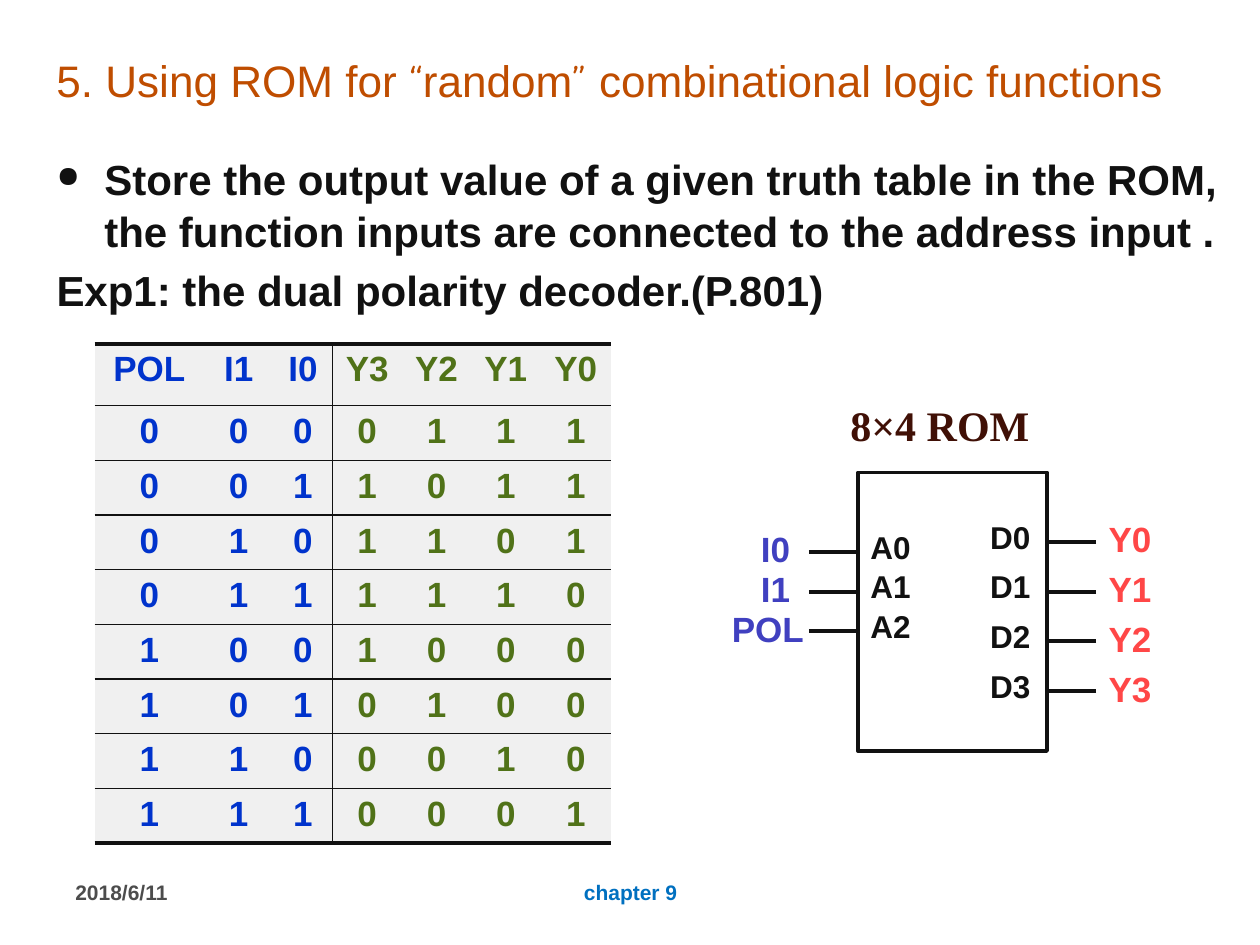
from lxml import etree
from pptx import Presentation
from pptx import util as u
from pptx.dml.color import RGBColor
from pptx.enum import shapes, text
from pptx.oxml.ns import qn

WIDE, HIGH = 10, 7.5

TITLE = [("5. Using ROM for ", "title"), ("“", "quote"), ("random", "title"),
         ("”", "quote"), (" combinational logic functions", "title")]
STORE = ("Store the output value of a given truth table in the ROM, "
         "the function inputs are connected to the address input .")
EXAMPLE = "Exp1: the dual polarity decoder.(P.801)"
HEADS = ["POL", "I1", "I0", "Y3", "Y2", "Y1", "Y0"]
TRUTH = ["0000111", "0011011", "0101101", "0111110",
         "1001000", "1010100", "1100010", "1110001"]
INPUTS = 3
COLS = [0.87, 0.55, 0.47, 0.55, 0.55, 0.55, 0.56]
ROWS = [0.49] + [0.41] * len(TRUTH)

# Each pin: name inside the chip, signal outside, left and width of the signal box
LEFT_PINS = [("A0", "I0", 5.94, 0.55), ("A1", "I1", 5.94, 0.55),
             ("A2", "POL", 5.71, 0.79)]
RIGHT_PINS = [(f"D{n}", f"Y{n}", 8.7, 0.55) for n in range(4)]
CHIP = (6.81, 3.75, 1.5, 2.21)
WIRE = 0.39
NAME = 0.55

THEME = {
    "ink": "111111", "cell": "F0F0F0", "rule": 1, "edge": 2.25,
    "title": ("BF4D00", dict(name="Arial", size=u.Pt(25.2), bold=False)),
    "quote": ("BF4D00", dict(name="Comic Neue", size=u.Pt(25.2), bold=False)),
    "body": ("111111", dict(name="Arial", size=u.Pt(24), bold=True)),
    "in": ("0033CC", dict(name="Arial", size=u.Pt(20), bold=True)),
    "out": ("507218", dict(name="Arial", size=u.Pt(20), bold=True)),
    "date": ("4C4C4C", dict(name="Arial", size=u.Pt(12), bold=True)),
    "foot": ("0070C0", dict(name="Arial", size=u.Pt(12), bold=True)),
    "chip": ("401006", dict(name="Times New Roman", size=u.Pt(24), bold=True)),
    "pin": ("111111", dict(name="Arial", size=u.Pt(18), bold=True)),
    "source": ("4040C0", dict(name="Arial", size=u.Pt(20), bold=True)),
    "result": ("FF4747", dict(name="Arial", size=u.Pt(20), bold=True)),
}
LEFT, MID = text.PP_ALIGN.LEFT, text.PP_ALIGN.CENTER
TOP, CENTER = text.MSO_ANCHOR.TOP, text.MSO_ANCHOR.MIDDLE


def rgb(code):
    return RGBColor.from_string(code)


def write(para, runs, align=LEFT):
    para.alignment = align
    for words, style in runs:
        run = para.add_run()
        run.text = words
        color, look = THEME[style]
        for key, value in look.items():
            setattr(run.font, key, value)
        run.font.color.rgb = rgb(color)


def add_text(home, box, paras, align=LEFT, anchor=TOP):
    """Place a wrapped text box; paras is a list of run lists."""
    frame = home.add_textbox(*map(u.Inches, box)).text_frame
    frame.word_wrap = True
    frame.vertical_anchor = anchor
    for i, runs in enumerate(paras):
        para = frame.add_paragraph() if i else frame.paragraphs[0]
        write(para, runs, align)
    return frame


def add_body(home):
    frame = add_text(home, (0.35, 1.15, 9.65, 5.39),
                     [[(STORE, "body")], [(EXAMPLE, "body")]])
    for para in frame.paragraphs:
        para.space_after = u.Pt(4)
        para.line_spacing = 1.04
        props = para._p.get_or_add_pPr()
        props.set("marL", str(u.Inches(0.38)))
        props.set("indent", str(-u.Inches(0.38)))
    props = frame.paragraphs[0]._p.get_or_add_pPr()
    etree.SubElement(props, qn("a:buSzPct"), val="70000")
    etree.SubElement(props, qn("a:buChar"), char="●")


def rule(cell, side, width):
    """Draw one cell border, or clear it when width is 0."""
    line = etree.SubElement(cell._tc.get_or_add_tcPr(), qn(f"a:ln{side}"),
                            w=str(u.Pt(width)))
    if width:
        fill = etree.SubElement(line, qn("a:solidFill"))
        etree.SubElement(fill, qn("a:srgbClr"), val=THEME["ink"])
    else:
        etree.SubElement(line, qn("a:noFill"))


def add_truth(home):
    data = [HEADS] + [list(row) for row in TRUTH]
    thin, thick = THEME["rule"], THEME["edge"]
    table = home.add_table(len(ROWS), len(COLS), u.Inches(0.75), u.Inches(2.73),
                           u.Inches(sum(COLS)), u.Inches(sum(ROWS))).table
    table.first_row = table.horz_banding = False
    for col, width in zip(table.columns, COLS):
        col.width = u.Inches(width)
    for r, (row, height) in enumerate(zip(data, ROWS)):
        table.rows[r].height = u.Inches(height)
        for c, word in enumerate(row):
            cell = table.cell(r, c)
            write(cell.text_frame.paragraphs[0],
                  [(word, "in" if c < INPUTS else "out")], MID)
            rule(cell, "L", thin if c == INPUTS else 0)
            rule(cell, "R", thin if c == INPUTS - 1 else 0)
            rule(cell, "T", thin if r else thick)
            rule(cell, "B", thick if r == len(TRUTH) else thin)
            cell.fill.solid()
            cell.fill.fore_color.rgb = rgb(THEME["cell"])


def stroke(shape):
    shape.line.color.rgb = rgb(THEME["ink"])
    shape.line.width = u.Pt(THEME["edge"])


def add_pins(home, chip, pins, first, step, edge, way, style):
    """Wire pins down one chip edge; way is -1 to the left, 1 to the right."""
    for i, (name, signal, left, width) in enumerate(pins):
        y = first + i * step
        wire = chip.add_connector(
            shapes.MSO_CONNECTOR.STRAIGHT,
            *map(u.Inches, (edge + way * WIRE, y, edge, y)))
        stroke(wire)
        etree.SubElement(wire._element.spPr, qn("a:effectLst"))
        inner = edge if way < 0 else edge - NAME
        add_text(chip, (inner, y - 0.24, NAME, 0.4), [[(name, "pin")]])
        add_text(home, (left, y - 0.24, width, 0.43), [[(signal, style)]])


def add_chip(home):
    add_text(home, (6.65, 3.12, 1.81, 0.5), [[("8×4 ROM", "chip")]])
    chip = home.add_group_shape().shapes
    body = chip.add_shape(shapes.MSO_SHAPE.RECTANGLE, *map(u.Inches, CHIP))
    body.shadow.inherit = False
    body.fill.background()
    stroke(body)
    left, _, width, _ = CHIP
    add_pins(home, chip, LEFT_PINS, 4.38, 0.315, left, -1, "source")
    add_pins(home, chip, RIGHT_PINS, 4.3, 0.395, left + width, 1, "result")


def main():
    deck = Presentation()
    deck.slide_width, deck.slide_height = u.Inches(WIDE), u.Inches(HIGH)
    home = deck.slides.add_slide(deck.slide_layouts[6]).shapes
    add_text(home, (0.35, 0.28, 9.34, 0.71), [TITLE], anchor=CENTER)
    add_body(home)
    add_truth(home)
    add_text(home, (0.5, 6.83, 2.33, 0.5), [[("2018/6/11", "date")]],
             anchor=CENTER)
    add_text(home, (3.42, 6.83, 3.17, 0.5), [[("chapter 9", "foot")]],
             MID, CENTER)
    add_chip(home)
    deck.save("out.pptx")


if __name__ == "__main__":
    main()
